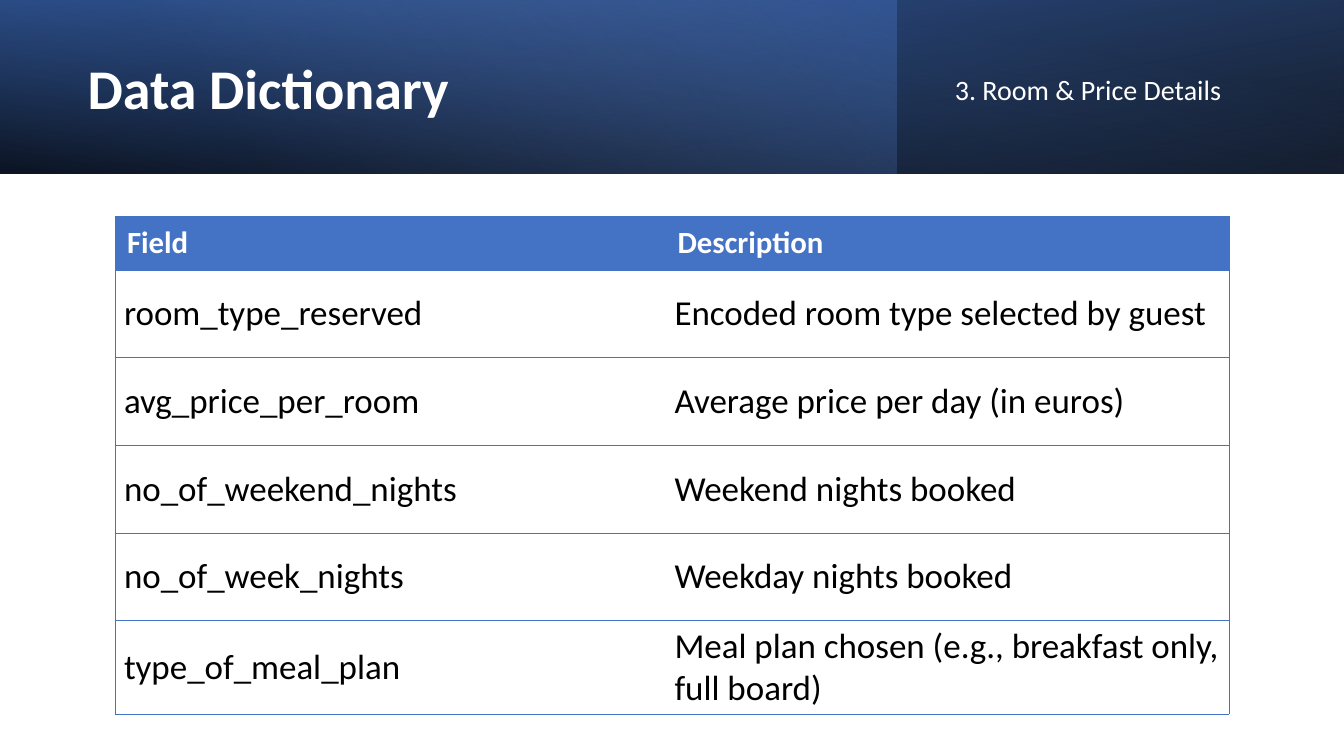
import pptx
import pptx.dml.color
import pptx.enum.shapes
import pptx.enum.text
import pptx.oxml
import pptx.oxml.ns
import pptx.util

Inches = pptx.util.Inches
NS = pptx.oxml.ns.nsdecls("a")
FONT = "Calibri"
BLUE = "4472C4"
WHITE = "FFFFFF"
BLACK = "000000"
BANDS = [
    (13.33, 180, True, 100, [(0, BLACK, 96), (100, "2F5597", 100)]),
    (8.89, 0, False, 140, [(0, BLUE, 41), (74, "8FAADC", 0)]),
    (13.33, 0, True, 260, [(0, BLACK, 63), (78, BLUE, 15)]),
]
ROWS = [
    ("Field", "Description"),
    ("room_type_reserved", "Encoded room type selected by guest"),
    ("avg_price_per_room", "Average price per day (in euros)"),
    ("no_of_weekend_nights", "Weekend nights booked"),
    ("no_of_week_nights", "Weekday nights booked"),
    ("type_of_meal_plan", "Meal plan chosen (e.g., breakfast only, full board)"),
]


def tint(target, code):
    """Set a colour from a hex string."""
    target.rgb = pptx.dml.color.RGBColor.from_string(code)


def write(frame, text, size, code, bold=False):
    """Write one left-aligned run into the first paragraph."""
    para = frame.paragraphs[0]
    para.alignment = pptx.enum.text.PP_ALIGN.LEFT
    para.space_before = pptx.util.Pt(0)
    run = para.add_run()
    run.text = text
    run.font.name = FONT
    run.font.size = pptx.util.Pt(size)
    run.font.bold = bold
    tint(run.font.color, code)
    return para


def blend(shape, angle, stops):
    """Fill a shape with a linear gradient of translucent stops."""
    marks = "".join(
        f'<a:gs pos="{pos * 1000}"><a:srgbClr val="{code}">'
        f'<a:alpha val="{alpha * 1000}"/></a:srgbClr></a:gs>'
        for pos, code, alpha in stops
    )
    fill = pptx.oxml.parse_xml(
        f'<a:gradFill {NS} rotWithShape="1"><a:gsLst>{marks}</a:gsLst>'
        f'<a:lin ang="{angle * 60000}" scaled="0"/></a:gradFill>'
    )
    shape.element.spPr.find(pptx.oxml.ns.qn("a:prstGeom")).addnext(fill)


def banner(slide, left, top, height):
    """Lay the gradient bands behind the placeholders."""
    for width, turn, flip, angle, stops in BANDS:
        band = slide.shapes.add_shape(
            pptx.enum.shapes.MSO_SHAPE.RECTANGLE,
            Inches(left), Inches(top), Inches(width), Inches(height),
        )
        band.shadow.inherit = False
        band.line.fill.background()
        band.rotation = turn
        if flip:
            band.element.spPr.xfrm.set("flipH", "1")
        blend(band, angle, stops)
        slide.shapes.title.element.addprevious(band.element)


def label(holder, box, text, size, bold=False):
    """Place a placeholder in a box and fill in its text."""
    holder.left, holder.top, holder.width, holder.height = map(Inches, box)
    frame = holder.text_frame
    frame.word_wrap = True
    frame.auto_size = pptx.enum.text.MSO_AUTO_SIZE.NONE
    frame.vertical_anchor = pptx.enum.text.MSO_ANCHOR.MIDDLE
    para = write(frame, text, size, WHITE, bold)
    para.line_spacing = 0.9
    props = para._p.get_or_add_pPr()
    props.set("marL", "0")
    props.set("indent", "0")
    props.append(pptx.oxml.parse_xml(f"<a:buNone {NS}/>"))


def border(cell, sides):
    """Draw thin blue lines on the given sides and clear the others."""
    props = cell._tc.get_or_add_tcPr()
    for spot, side in enumerate("LRTB"):
        paint = "<a:noFill/>"
        if side in sides:
            paint = f'<a:solidFill><a:srgbClr val="{BLUE}"/></a:solidFill>'
        props.insert(spot, pptx.oxml.parse_xml(
            f'<a:ln{side} {NS} w="6350">{paint}</a:ln{side}>'
        ))


def grid(slide, left, top, widths, head, step):
    """Build the field table with a blue header row."""
    heights = [head] + [step] * (len(ROWS) - 1)
    table = slide.shapes.add_table(
        len(ROWS), len(widths), Inches(left), Inches(top),
        Inches(sum(widths)), Inches(sum(heights)),
    ).table
    table.horz_banding = False
    for col, width in zip(table.columns, widths):
        col.width = Inches(width)
    for i, texts in enumerate(ROWS):
        table.rows[i].height = Inches(heights[i])
        first = i == 0
        for j, text in enumerate(texts):
            cell = table.cell(i, j)
            cell.margin_left = cell.margin_right = Inches(0.12 if first else 0.09)
            cell.margin_top = cell.margin_bottom = Inches(0.06 if first else 0.04)
            cell.vertical_anchor = pptx.enum.text.MSO_ANCHOR.MIDDLE
            cell.fill.solid()
            tint(cell.fill.fore_color, BLUE if first else WHITE)
            border(cell, "TB" + "LR"[j])
            write(cell.text_frame, text, 22 if first else 25,
                  WHITE if first else BLACK, first)


def main():
    """Build and save the slide."""
    deck = pptx.Presentation()
    deck.slide_width = Inches(13.33)
    deck.slide_height = Inches(7.5)
    slide = deck.slides.add_slide(deck.slide_layouts[1])
    banner(slide, 0, 0, 1.72)
    label(slide.shapes.title, (0.77, 0.27, 7.72, 1.27), "Data Dictionary", 40, True)
    label(slide.placeholders[1], (9.37, 0.43, 3.54, 0.96),
          "3. Room & Price Details", 20)
    grid(slide, 1.14, 2.15, (5.46, 5.59), 0.53, 0.87)
    deck.save("out.pptx")


if __name__ == "__main__":
    main()
